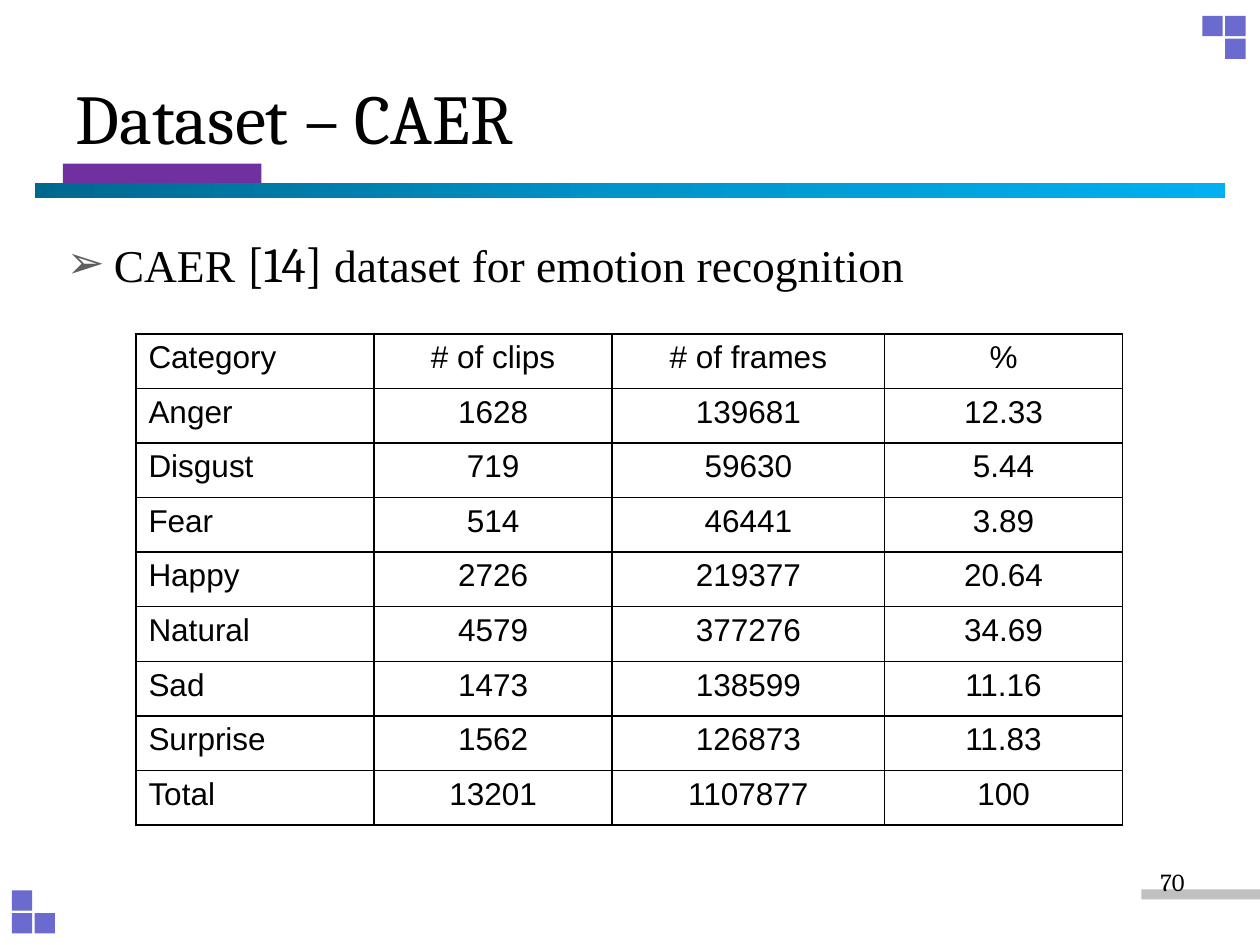
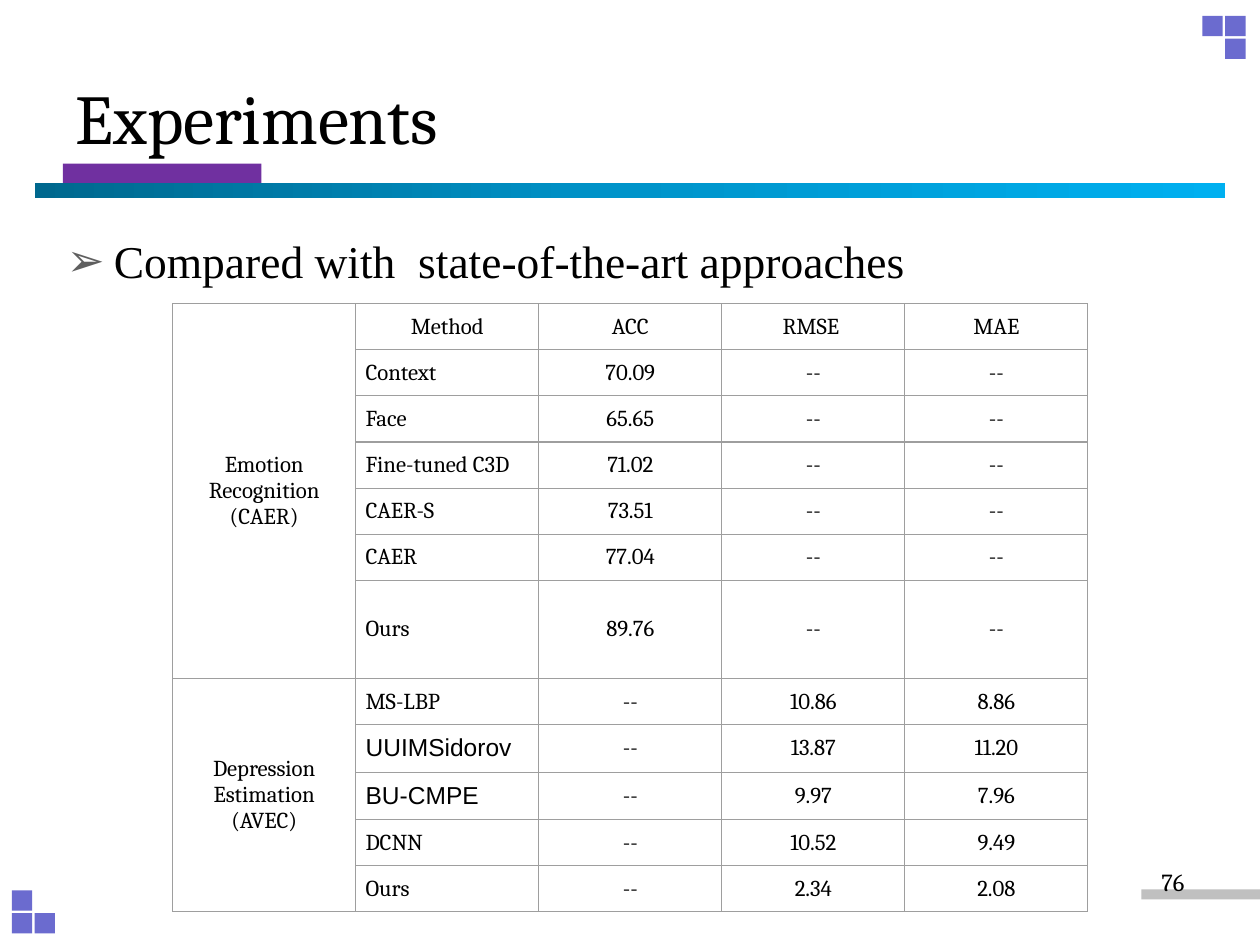
from copy import deepcopy

from lxml.etree import SubElement
from pptx import Presentation
from pptx.dml.color import RGBColor
from pptx.enum.shapes import MSO_SHAPE
from pptx.enum.text import MSO_ANCHOR, MSO_AUTO_SIZE, PP_ALIGN
from pptx.oxml import parse_xml
from pptx.oxml.ns import nsdecls, qn
from pptx.util import Cm, Pt

BLACK = RGBColor(0x00, 0x00, 0x00)
BULLET_GREY = RGBColor(0x5F, 0x5F, 0x5F)
FOOTER_GREY = RGBColor(0xC0, 0xC0, 0xC0)
TABLE_GREY = RGBColor(0x9E, 0x9E, 0x9E)
PURPLE = RGBColor(0x70, 0x30, 0xA0)
LAVENDER = RGBColor(0x6B, 0x6B, 0xCF)
BAND_COLORS = [RGBColor(0x00, 0x68, 0x8E), RGBColor(0x00, 0x94, 0xCA), RGBColor(0x00, 0xB0, 0xF0)]

TITLE_FORMAT = {"name": "Cambria", "size": Pt(40)}
LIST_FORMAT = {"name": "Times New Roman", "size": Pt(26)}
CITATION_FORMAT = {"name": "Cambria", "size": Pt(28)}
NUMBER_FORMAT = {"name": "Cambria", "size": Pt(14)}
CATEGORY_FORMAT = {"name": "Arial", "size": Pt(18)}
METHOD_FORMAT = {"name": "Cambria", "size": Pt(13)}
SANS_FORMAT = {"name": "Arial", "size": Pt(14)}

TITLE_BOX = (1.27, 0.76, 22.86, 3.18)
LIST_BOX = (1.09, 4.57, 22.86, 13.57)
NUMBER_BOX = (18.21, 17.35, 5.92, 1.32)
TAB_BOX = (1.27, 3.3, 4, 0.4)
BAND_BOX = (0.7, 3.69, 24, 0.3)
FOOTER_BOX = (23.01, 17.93, 2.39, 0.2)
SQUARE_SIZE, SQUARE_STEP = 0.41, 0.46
SQUARE_CORNERS = [
    (24.24, 0.32, [(0, 0), (1, 0), (1, 1)]),
    (0.24, 17.95, [(0, 0), (0, 1), (1, 1)]),
]

CATEGORY_ROWS = [
    ("Category", "# of clips", "# of frames", "%"),
    ("Anger", "1628", "139681", "12.33"),
    ("Disgust", "719", "59630", "5.44"),
    ("Fear", "514", "46441", "3.89"),
    ("Happy", "2726", "219377", "20.64"),
    ("Natural", "4579", "377276", "34.69"),
    ("Sad", "1473", "138599", "11.16"),
    ("Surprise", "1562", "126873", "11.83"),
    ("Total", "13201", "1107877", "100"),
]
METHOD_GROUPS = {
    "Emotion\nRecognition\n(CAER)": [
        ("Method", "ACC", "RMSE ", "MAE"),
        ("Context", "70.09", "--", "--"),
        ("Face", "65.65", "--", "--"),
        ("Fine-tuned C3D", "71.02", "--", "--"),
        ("CAER-S", "73.51", "--", "--"),
        ("CAER", "77.04", "--", "--"),
        ("Ours", "89.76", "--", "--"),
    ],
    "Depression\nEstimation\n(AVEC)": [
        ("MS-LBP", "--", "10.86", "8.86"),
        ("UUIMSidorov", "--", "13.87", "11.20"),
        ("BU-CMPE", "--", "9.97", "7.96"),
        ("DCNN", "--", "10.52", "9.49"),
        ("Ours", "--", "2.34", "2.08"),
    ],
}
SANS_METHODS = {"UUIMSidorov", "BU-CMPE"}


def to_cm(box):
    """Turn plain numbers into centimetre lengths."""
    return [Cm(value) for value in box]


def set_attributes(target, values):
    """Set every attribute named in a dict."""
    for name, value in values.items():
        setattr(target, name, value)


def format_run(run, values):
    """Give a run its font values in black."""
    set_attributes(run.font, values)
    run.font.color.rgb = BLACK


def place(shape, box):
    """Move and size a placeholder."""
    set_attributes(shape, dict(zip(("left", "top", "width", "height"), to_cm(box))))


def add_block(slide, box, color):
    """Add a plain filled rectangle."""
    block = slide.shapes.add_shape(MSO_SHAPE.RECTANGLE, *to_cm(box))
    block.shadow.inherit = False
    block.line.fill.background()
    block.fill.solid()
    block.fill.fore_color.rgb = color
    return block


def add_band(slide):
    """Add the wide three-colour band under the title."""
    fill = add_block(slide, BAND_BOX, BAND_COLORS[0]).fill
    fill.gradient()
    fill.gradient_angle = 0
    stop_list = slide.shapes[-1]._element.find(".//" + qn("a:gsLst"))
    stop_list.insert(1, deepcopy(stop_list[0]))
    for index, (stop, color) in enumerate(zip(fill.gradient_stops, BAND_COLORS)):
        stop.position = index / 2
        stop.color.rgb = color


def add_decoration(slide):
    """Add the bands and corner squares that all slides share."""
    add_block(slide, FOOTER_BOX, FOOTER_GREY)
    add_block(slide, TAB_BOX, PURPLE)
    add_band(slide)
    for left, top, squares in SQUARE_CORNERS:
        for column, row in squares:
            corner = (left + column * SQUARE_STEP, top + row * SQUARE_STEP)
            add_block(slide, (*corner, SQUARE_SIZE, SQUARE_SIZE), LAVENDER)


def add_bullet(paragraph):
    """Give a paragraph an arrow bullet with a hanging indent."""
    properties = paragraph._p.get_or_add_pPr()
    properties.set("marL", str(Cm(0.95)))
    properties.set("indent", str(-Cm(0.95)))
    color = SubElement(properties, qn("a:buClr"))
    SubElement(color, qn("a:srgbClr"), val=str(BULLET_GREY))
    SubElement(properties, qn("a:buFont"), typeface="Arial")
    SubElement(properties, qn("a:buChar"), char="➢")
    paragraph.space_before = Pt(0)


def add_content_slide(presentation, title, list_runs, number):
    """Add a slide with its title, list line, decoration and number."""
    slide = presentation.slides.add_slide(presentation.slide_layouts[1])
    add_decoration(slide)
    heading, body = slide.placeholders
    number_box = slide.shapes.add_textbox(*to_cm(NUMBER_BOX))
    texts = [
        (heading, TITLE_BOX, PP_ALIGN.LEFT, [(title, TITLE_FORMAT)]),
        (body, LIST_BOX, PP_ALIGN.LEFT, list_runs),
        (number_box, NUMBER_BOX, PP_ALIGN.RIGHT, [(number, NUMBER_FORMAT)]),
    ]
    for shape, box, alignment, runs in texts:
        place(shape, box)
        set_attributes(shape.text_frame, {"word_wrap": True, "auto_size": MSO_AUTO_SIZE.NONE})
        paragraph = shape.text_frame.paragraphs[0]
        paragraph.alignment = alignment
        for text, values in runs:
            run = paragraph.add_run()
            run.text = text
            format_run(run, values)
    heading.text_frame.vertical_anchor = MSO_ANCHOR.MIDDLE
    add_bullet(body.text_frame.paragraphs[0])
    return slide


def set_borders(cell, color, width):
    """Draw all four borders of a cell."""
    properties = cell._tc.get_or_add_tcPr()
    for index, side in enumerate("LRTB"):
        properties.insert(index, parse_xml(
            f'<a:ln{side} {nsdecls("a")} w="{Pt(width)}"><a:solidFill>'
            f'<a:srgbClr val="{color}"/></a:solidFill></a:ln{side}>'))


def add_grid(slide, left, top, column_widths, row_heights, color, width):
    """Add an unfilled table with even borders."""
    size = (sum(column_widths), sum(row_heights))
    frame = slide.shapes.add_table(len(row_heights), len(column_widths), *to_cm((left, top, *size)))
    table = frame.table
    set_attributes(table, {"first_row": False, "horz_banding": False})
    for column, value in zip(table.columns, column_widths):
        column.width = Cm(value)
    for row, value in zip(table.rows, row_heights):
        row.height = Cm(value)
    for cell in table.iter_cells():
        cell.fill.background()
        set_borders(cell, color, width)
    return table


def write_cell(cell, text, values, alignment):
    """Fill a cell with formatted text."""
    cell.text = text
    for paragraph in cell.text_frame.paragraphs:
        paragraph.alignment = alignment
        for run in paragraph.runs:
            format_run(run, values)


def add_category_table(slide):
    """Add the table of clips and frames by emotion."""
    table = add_grid(slide, 2.74, 6.73, [4.8, 4.8, 5.49, 4.8], [1.1] * len(CATEGORY_ROWS), BLACK, 1)
    for row, texts in enumerate(CATEGORY_ROWS):
        for column, text in enumerate(texts):
            alignment = PP_ALIGN.CENTER if column else PP_ALIGN.LEFT
            write_cell(table.cell(row, column), text, CATEGORY_FORMAT, alignment)


def add_method_table(slide):
    """Add the comparison table with one merged cell per task."""
    rows = [texts for group in METHOD_GROUPS.values() for texts in group]
    heights = [0.95 if texts[0] in SANS_METHODS else 0.93 for texts in rows]
    heights[len(next(iter(METHOD_GROUPS.values()))) - 1] = 1.98
    table = add_grid(slide, 3.48, 6.12, [3.69] * 5, heights, TABLE_GREY, 0.75)
    first = 0
    for task, group in METHOD_GROUPS.items():
        table.cell(first, 0).merge(table.cell(first + len(group) - 1, 0))
        write_cell(table.cell(first, 0), task, METHOD_FORMAT, PP_ALIGN.CENTER)
        first += len(group)
    for row, texts in enumerate(rows):
        for column, text in enumerate(texts, 1):
            values = SANS_FORMAT if text in SANS_METHODS else METHOD_FORMAT
            alignment = PP_ALIGN.LEFT if row and column == 1 else PP_ALIGN.CENTER
            write_cell(table.cell(row, column), text, values, alignment)
    for cell in table.iter_cells():
        margin = Cm(0 if cell.is_spanned else 0.2)
        set_attributes(cell, {f"margin_{side}": margin for side in ("left", "right", "top", "bottom")})
        cell.vertical_anchor = MSO_ANCHOR.MIDDLE


def main():
    """Build and save the two slides."""
    presentation = Presentation()
    set_attributes(presentation, {"slide_width": Cm(25.4), "slide_height": Cm(19.05)})
    dataset_line = [
        ("CAER ", LIST_FORMAT),
        ("[14]", CITATION_FORMAT),
        (" dataset for emotion recognition", LIST_FORMAT),
    ]
    comparison_line = [("Compared with  state-of-the-art approaches", LIST_FORMAT)]
    add_category_table(add_content_slide(presentation, "Dataset – CAER", dataset_line, "70"))
    add_method_table(add_content_slide(presentation, "Experiments", comparison_line, "76"))
    presentation.save("out.pptx")


if __name__ == "__main__":
    main()
